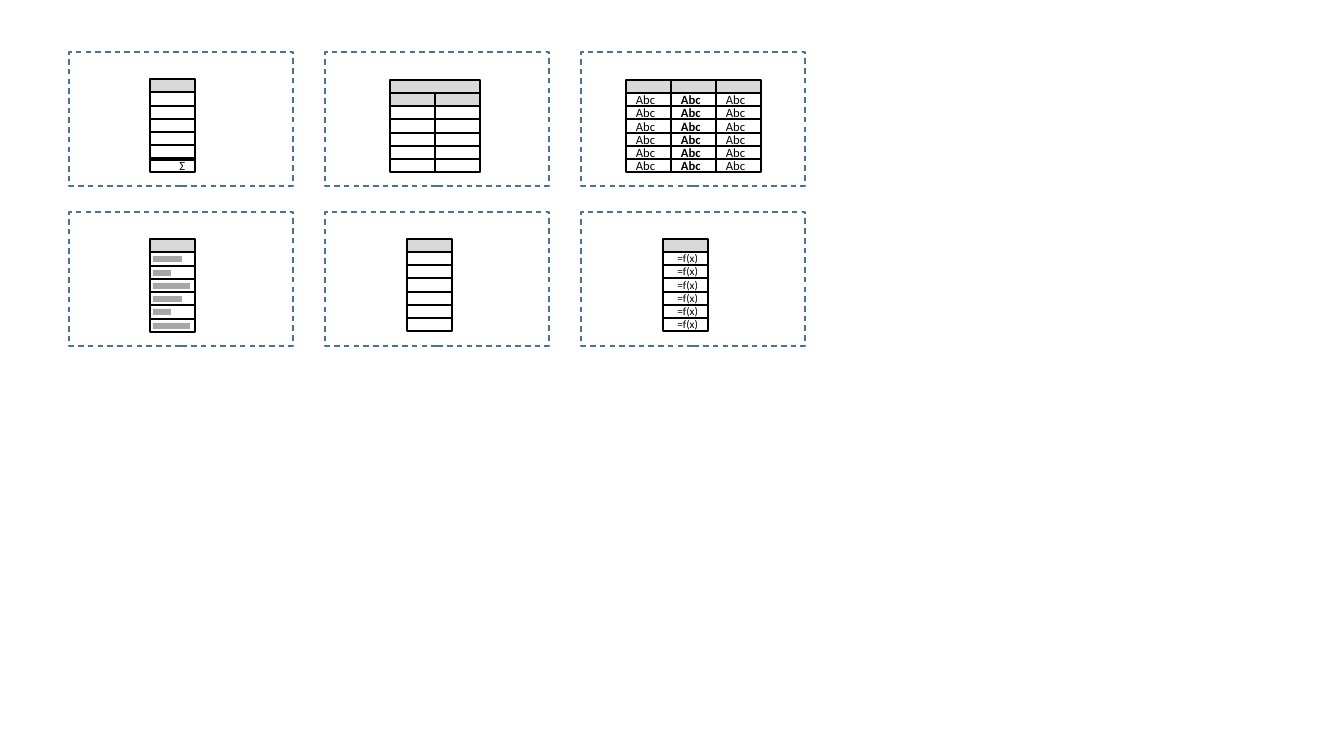
from dataclasses import dataclass

from lxml.etree import SubElement
from pptx import Presentation
from pptx.dml.color import RGBColor
from pptx.enum.dml import MSO_LINE_DASH_STYLE as Dash
from pptx.enum.shapes import MSO_CONNECTOR as Connector, MSO_SHAPE as Shape
from pptx.enum.text import MSO_ANCHOR as Anchor, PP_ALIGN as Align
from pptx.oxml.ns import qn
from pptx.util import Pt

PIXEL = 914400 / 100.8


@dataclass(frozen=True)
class Theme:
    """Colours, font and sizes of the slide."""
    panel: str = "43739E"
    ink: str = "000000"
    cell: str = "FFFFFF"
    header: str = "D9D9D9"
    bar: str = "A6A6A6"
    font: str = "Calibri"
    text_size: int = 9
    formula_size: int = 8
    thin: float = 1
    thick: float = 2.25


theme = Theme()


def emu(pixels):
    """Turn pixels into EMU."""
    return round(pixels * PIXEL)


def add_rectangle(text, *, box, fill=None, line=None, dash=None,
                  size=theme.text_size, bold=False, align=Align.LEFT):
    """Add a rectangle at box (left, top, width, height) with optional text."""
    shape = slide.shapes.add_shape(Shape.RECTANGLE, *map(emu, box))
    shape.shadow.inherit = False
    if fill:
        shape.fill.solid()
        shape.fill.fore_color.rgb = RGBColor.from_string(fill)
    else:
        shape.fill.background()
    if line:
        shape.line.color.rgb = RGBColor.from_string(line)
        shape.line.width = Pt(theme.thin)
        shape.line.dash_style = dash
    else:
        shape.line.fill.background()
    if text:
        frame = shape.text_frame
        frame.word_wrap = True
        frame.vertical_anchor = Anchor.MIDDLE
        frame.margin_top = frame.margin_bottom = 0
        paragraph = frame.paragraphs[0]
        paragraph.alignment = align
        run = paragraph.add_run()
        run.text = text
        run.font.name = theme.font
        run.font.size = Pt(size)
        run.font.bold = bold
        run.font.color.rgb = RGBColor.from_string(theme.ink)


presentation = Presentation()
presentation.slide_width, presentation.slide_height = emu(1344), emu(756)
slide = presentation.slides.add_slide(presentation.slide_layouts[6])

# Dashed panels: three columns, two rows
for panel_top in (52, 212):
    for column in range(3):
        add_rectangle("", box=(69 + 256 * column, panel_top, 224, 134),
                      line=theme.panel, dash=Dash.DASH)

# Table icons: each has seven rows, given as lists of cell texts
COLUMN_WIDTH, ROW_COUNT = 45, 7
blank = [""]
sum_icon = dict(left=150, top=79, height=93, rows=[blank] * 6 + [["Σ"]])
merged_icon = dict(left=390, top=80, height=92, header_rows=2,
                   rows=[blank] + [blank * 2] * 6)
bold_icon = dict(left=626, top=80, height=92, align=Align.LEFT, bold_column=1,
                 rows=[blank * 3] + [["Abc"] * 3] * 6)
bar_icon = dict(left=150, top=239, height=93, rows=[blank] * 7)
plain_icon = dict(left=407, top=239, height=92, rows=[blank] * 7)
formula_icon = dict(left=663, top=239, height=92, size=theme.formula_size,
                    rows=[blank] + [["=f(x)"]] * 6)

for icon in (sum_icon, merged_icon, bold_icon, bar_icon, plain_icon, formula_icon):
    icon["row_tops"] = [icon["top"] + round(icon["height"] * row / ROW_COUNT)
                        for row in range(ROW_COUNT + 1)]
    icon_width = COLUMN_WIDTH * len(icon["rows"][-1])
    for row, texts in enumerate(icon["rows"]):
        row_top, row_bottom = icon["row_tops"][row:row + 2]
        cell_width = icon_width // len(texts)
        is_header = row < icon.get("header_rows", 1)
        for column, text in enumerate(texts):
            add_rectangle(text,
                          box=(icon["left"] + column * cell_width, row_top,
                               cell_width, row_bottom - row_top),
                          fill=theme.header if is_header else theme.cell,
                          line=theme.ink,
                          size=icon.get("size", theme.text_size),
                          bold=column == icon.get("bold_column"),
                          align=icon.get("align", Align.RIGHT))

# Thick rule above the sum
rule_left, rule_top = sum_icon["left"], sum_icon["row_tops"][-2]
sum_rule = slide.shapes.add_connector(
    Connector.STRAIGHT, emu(rule_left), emu(rule_top),
    emu(rule_left + COLUMN_WIDTH), emu(rule_top))
sum_rule.line.color.rgb = RGBColor.from_string(theme.ink)
sum_rule.line.width = Pt(theme.thick)
SubElement(sum_rule._element.spPr, qn("a:effectLst"))

# Data bars inside the body rows
for row_top, bar_width in zip(bar_icon["row_tops"][1:], (29, 18, 37) * 2):
    add_rectangle("", box=(bar_icon["left"] + 3, row_top + 4, bar_width, 6),
                  fill=theme.bar)

presentation.save("out.pptx")
